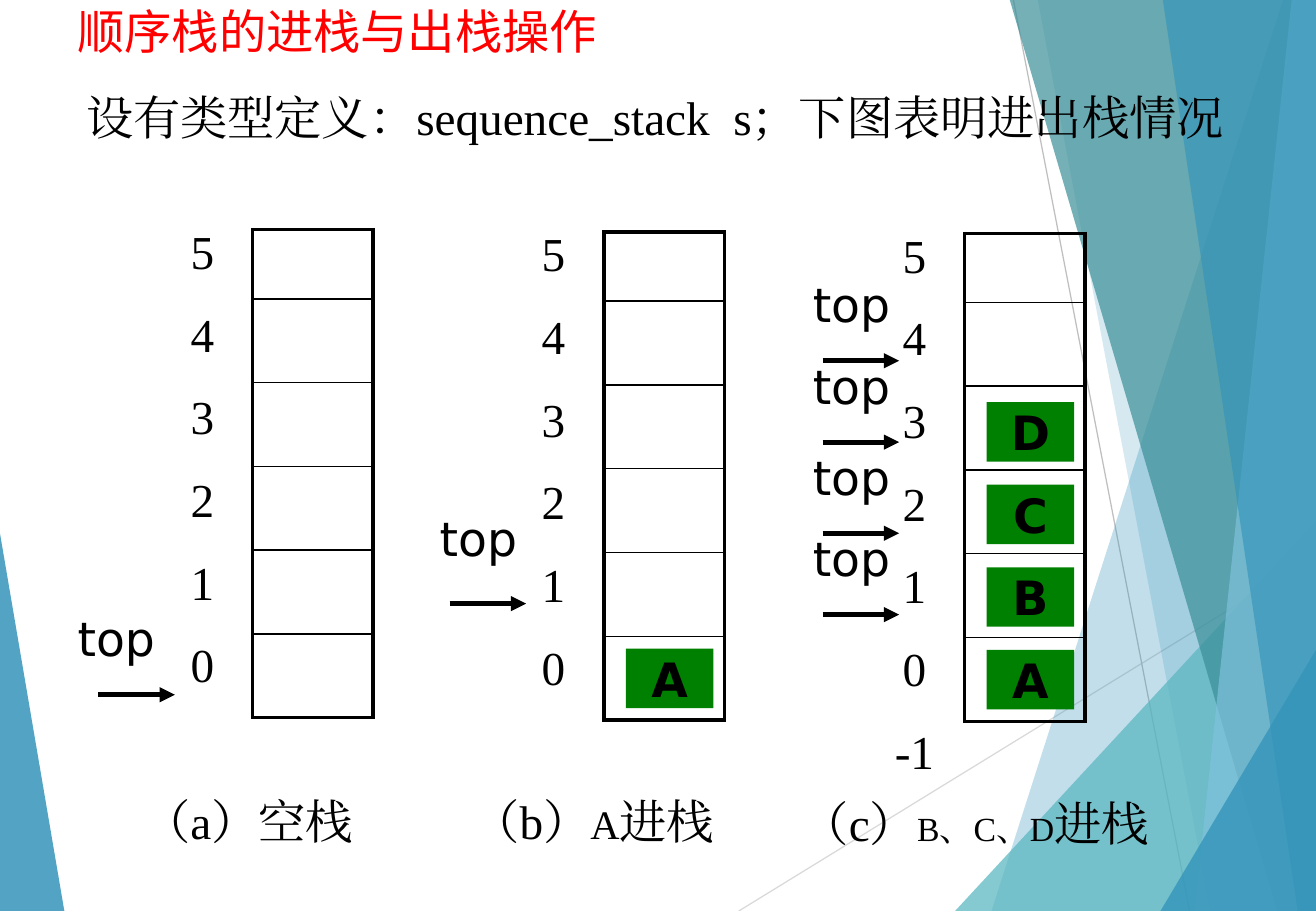
from lxml import etree
from pptx import Presentation
from pptx.dml.color import RGBColor
from pptx.enum.shapes import MSO_CONNECTOR, MSO_SHAPE
from pptx.enum.text import MSO_ANCHOR, PP_ALIGN
from pptx.oxml import parse_xml
from pptx.oxml.ns import qn
from pptx.util import Inches, Pt

STRAIGHT, RECT = MSO_CONNECTOR.STRAIGHT, MSO_SHAPE.RECTANGLE
LEFT, CENTER = PP_ALIGN.LEFT, PP_ALIGN.CENTER
TOP, MIDDLE = MSO_ANCHOR.TOP, MSO_ANCHOR.MIDDLE
NS = 'xmlns:a="http://schemas.openxmlformats.org/drawingml/2006/main"'

W, H = 10.83, 7.5
SERIF, SANS, CJK = "Times New Roman", "DejaVu Sans", "Noto Sans CJK SC"
BLACK, RED, GREEN = "000000", "FF0000", "008000"
BLUE, TEAL, DARK_TEAL, SKY = "3494BA", "58B6C0", "3A8F98", "7FC1DB"
BODY = 28
LABEL_H = 0.57
CELL_W, FIRST_ROW, ROW = 0.99, 0.57, 0.69
ROWS = 6
OUTER, INNER = 2.25, 1
ITEM_W, ITEM_H, ITEM_STEP = 0.72, 0.49, 0.68
ARROW = 0.63

# upper left corner, lower left x, colour, opacity in percent
SHARDS = [
    (10.56, 0, 8.16, BLUE, 30),
    (8.54, 0, 9.96, BLUE, 20),
    (W, 4.29, 7.86, TEAL, 72),
    (8.31, 0, 10.51, DARK_TEAL, 70),
    (10.63, 0, 9.83, SKY, 70),
    (9.57, 0, 10.68, BLUE, 65),
    (W, 5.35, 9.55, BLUE, 80),
]

# tops: label positions; arrow: its offset from the label
STACKS = [
    dict(left=2.08, top=1.89, items="", marks="543210",
         tops=[(0.54, 4.97)], arrow=(0.27, 0.75),
         caption=[("（a）空栈", BODY)], caption_box=(1.08, 6.47, 2.44)),
    dict(left=4.97, top=1.91, items="A", marks="543210",
         tops=[(3.52, 4.14)], arrow=(0.18, 0.83),
         caption=[("（b）", BODY), ("A", 24), ("进栈", BODY)],
         caption_box=(3.79, 6.47, 2.44)),
    dict(left=7.94, top=1.92, items="ABCD", marks=[*"543210", "-1"],
         tops=[(6.59, y) for y in (4.31, 3.64, 2.89, 2.22)], arrow=(0.18, 0.75),
         caption=[("（c）", BODY), ("B、C、D", 20), ("进栈", BODY)],
         caption_box=(6.5, 6.49, 3.52)),
]


def color(hex_code):
    return RGBColor.from_string(hex_code)


def box(left, top, width, height):
    return [Inches(v) for v in (left, top, width, height)]


def write(frame, paragraphs, font=SERIF, ink=BLACK, align=LEFT, bold=False, anchor=TOP):
    """Fill a text frame; each paragraph is a list of (text, size) runs."""
    frame.word_wrap = True
    frame.vertical_anchor = anchor
    for i, runs in enumerate(paragraphs):
        paragraph = frame.add_paragraph() if i else frame.paragraphs[0]
        paragraph.alignment = align
        if i:
            paragraph.space_before = Pt(15.4)
        for text, size in runs:
            run = paragraph.add_run()
            run.text = text
            for key, value in dict(name=font, size=Pt(size), bold=bold).items():
                setattr(run.font, key, value)
            run.font.color.rgb = color(ink)
            east_asian = etree.SubElement(run.font._element, qn("a:ea"))
            east_asian.set("typeface", font)


def label(slide, area, paragraphs, **style):
    write(slide.shapes.add_textbox(*box(*area)).text_frame, paragraphs, **style)


def line(slide, start, end, ink, width, arrow=False):
    connector = slide.shapes.add_connector(STRAIGHT, *box(*start, *end))
    connector.line.color.rgb = color(ink)
    connector.line.width = Pt(width)
    if arrow:
        connector.line._get_or_add_ln().append(parse_xml(f'<a:tailEnd {NS} type="triangle"/>'))
    connector._element.spPr.append(parse_xml(f"<a:effectLst {NS}/>"))


def polygon(slide, points, fill, opacity):
    scaled = [(Inches(x), Inches(y)) for x, y in points]
    builder = slide.shapes.build_freeform(*scaled[0], scale=1.0)
    builder.add_line_segments(scaled[1:], close=True)
    shape = builder.convert_to_shape()
    shape.shadow.inherit = False
    shape.fill.solid()
    shape.fill.fore_color.rgb = color(fill)
    shape.line.fill.background()
    tint = shape._element.spPr.find(f".//{qn('a:srgbClr')}")
    etree.SubElement(tint, qn("a:alpha")).set("val", str(opacity * 1000))


def backdrop(slide):
    polygon(slide, [(0, 4.39), (0.53, H), (0, H)], BLUE, 85)
    line(slide, (6.08, H), (W, 4.58), "D9D9D9", 0.75)
    line(slide, (8.34, 0), (9.79, H), "BFBFBF", 0.75)
    for x, y, foot, fill, opacity in SHARDS:
        corners = [(x, y), (foot, H), (W, H)]
        polygon(slide, corners + ([(W, y)] if x < W else []), fill, opacity)


def cells(slide, left, top):
    """One-column table with a heavy frame and thin dividers."""
    area = box(left, top, CELL_W, FIRST_ROW + (ROWS - 1) * ROW)
    table = slide.shapes.add_table(ROWS, 1, *area).table
    table.first_row = table.horz_banding = False
    for i in range(ROWS):
        table.rows[i].height = Inches(ROW if i else FIRST_ROW)
        cell = table.cell(i, 0)
        properties = cell._tc.get_or_add_tcPr()
        widths = dict(L=OUTER, R=OUTER, T=INNER if i else OUTER,
                      B=INNER if i < ROWS - 1 else OUTER)
        for side, width in widths.items():
            properties.append(parse_xml(
                f'<a:ln{side} {NS} w="{Pt(width)}"><a:solidFill>'
                f'<a:srgbClr val="{BLACK}"/></a:solidFill></a:ln{side}>'))
        cell.fill.background()


def item(slide, letter, left, top):
    block = slide.shapes.add_shape(RECT, *box(left, top, ITEM_W, ITEM_H))
    block.shadow.inherit = False
    block.fill.solid()
    block.fill.fore_color.rgb = color(GREEN)
    block.line.fill.background()
    frame = block.text_frame
    margins = dict(margin_left=0.02, margin_right=0.02, margin_top=0.01, margin_bottom=0.01)
    for side, margin in margins.items():
        setattr(frame, side, Inches(margin))
    write(frame, [[(letter, BODY)]], font=SANS, align=CENTER, bold=True, anchor=MIDDLE)


def stack(slide, left, top, items, marks, tops, arrow, caption, caption_box):
    """A stack with its index marks, top pointers, items and caption."""
    cells(slide, left, top)
    label(slide, (left - 0.91, top - 0.11, CELL_W, 4.78),
          [[(mark, BODY)] for mark in marks], align=CENTER)
    for x, y in tops:
        start = x + arrow[0], y + arrow[1]
        line(slide, start, (start[0] + ARROW, start[1]), BLACK, 3, arrow=True)
        label(slide, (x, y, CELL_W, LABEL_H), [[("top", BODY)]], font=SANS)
    for level, letter in enumerate(items):
        item(slide, letter, left + 0.18, top + 3.43 - level * ITEM_STEP)
    label(slide, (*caption_box, LABEL_H), [caption])


def heading(slide):
    label(slide, (0.54, -0.03, 9.21, 0.67), [[("顺序栈的进栈与出栈操作", BODY)]],
          font=CJK, ink=RED)
    label(slide, (0.61, 0.68, 9.84, LABEL_H),
          [[("设有类型定义：sequence_stack  s；下图表明进出栈情况", BODY)]])


def main():
    deck = Presentation()
    deck.slide_width, deck.slide_height = Inches(W), Inches(H)
    slide = deck.slides.add_slide(deck.slide_layouts[6])
    backdrop(slide)
    heading(slide)
    for parts in STACKS:
        stack(slide, **parts)
    deck.save("out.pptx")


if __name__ == "__main__":
    main()
